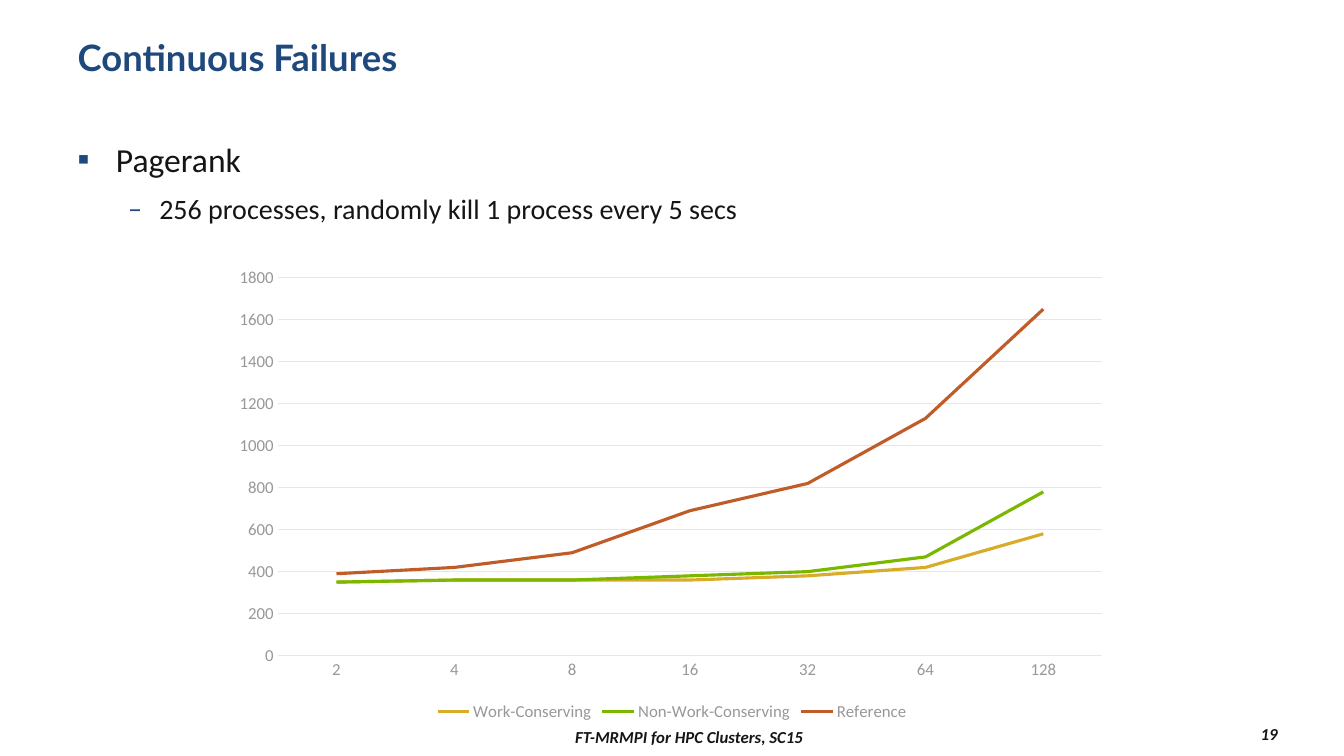
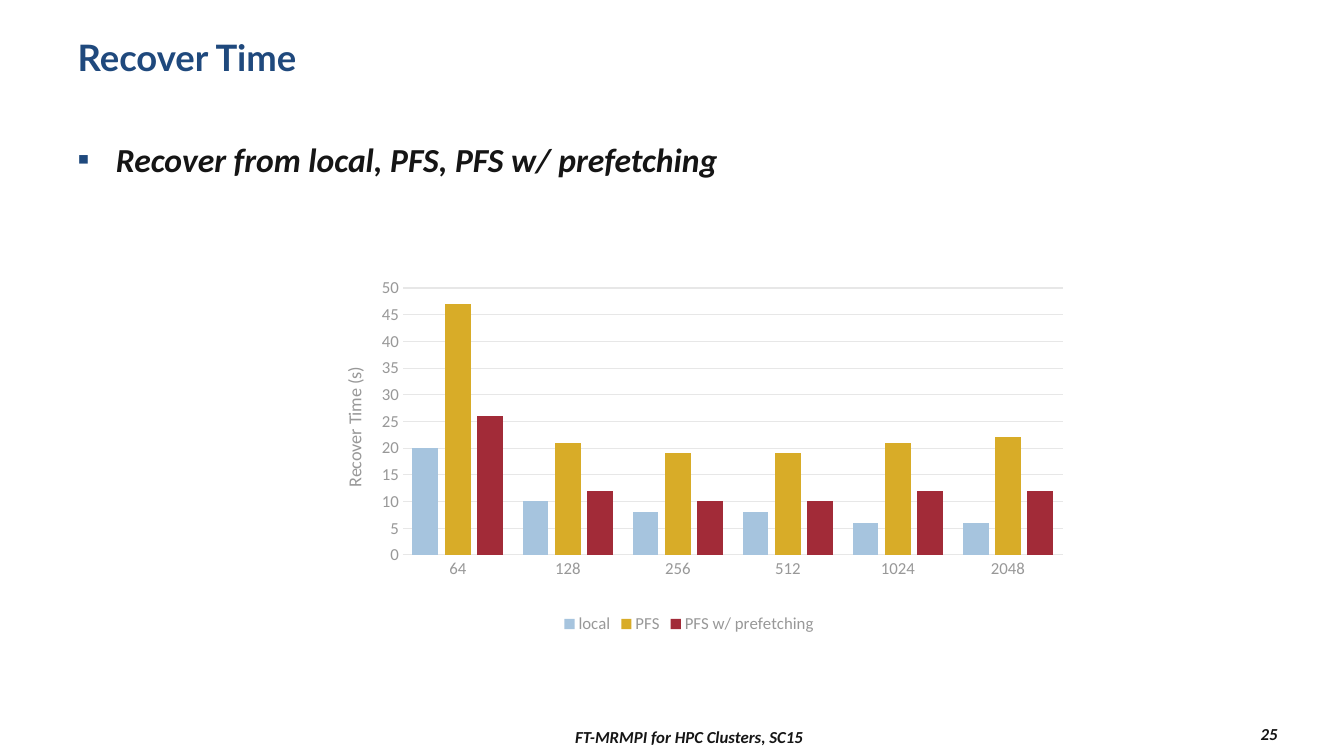
from lxml import etree
from pptx import Presentation
from pptx.chart.data import CategoryChartData
from pptx.dml.color import RGBColor
from pptx.enum.chart import XL_CHART_TYPE, XL_LEGEND_POSITION, XL_MARKER_STYLE, XL_TICK_MARK
from pptx.enum.text import MSO_ANCHOR, MSO_AUTO_SIZE, PP_ALIGN
from pptx.oxml.ns import qn
from pptx.util import Inches, Pt

NAVY = RGBColor(0x1F, 0x49, 0x7D)
INK = RGBColor(0x15, 0x15, 0x15)
GRAY = RGBColor(0x98, 0x98, 0x98)
RULE = RGBColor(0xE7, 0xE7, 0xE7)
GOLD = RGBColor(0xD8, 0xAC, 0x28)
GREEN = RGBColor(0x7A, 0xB8, 0x00)
RUST = RGBColor(0xBF, 0x5C, 0x28)
SKY = RGBColor(0xA6, 0xC4, 0xDE)
WINE = RGBColor(0xA2, 0x2B, 0x38)

TITLE = dict(name="Lato", size=Pt(26), bold=True, color=NAVY)
BODY = dict(name="Calibri", color=INK, bold=False, italic=False)
STRONG = dict(BODY, bold=True, italic=True)
FOOTER = dict(STRONG, size=Pt(12))
LABEL = dict(name="Calibri", size=Pt(12), bold=False, color=GRAY)
# bullet, text size, left margin and hanging indent for each list level
LEVELS = [("▪", 24, 0.38, 0.38), ("–", 20, 0.81, 0.31)]

TITLE_BOX = (0.67, 0.3, 12, 0.87)
BODY_BOX = (0.67, 1.25, 12, 5.67)
FOOTER_BOX = (2.89, 7.17, 7.89, 0.27)
NUMBER_BOX = (11.33, 7.15, 1.44, 0.27)
FOOTER_TEXT = "FT-MRMPI for HPC Clusters, SC15"

SLIDES = [
    dict(
        title="Continuous Failures", number=19, style=BODY,
        items=[(0, "Pagerank"), (1, "256 processes, randomly kill 1 process every 5 secs")],
        chart=dict(
            kind=XL_CHART_TYPE.LINE, box=(2.22, 2.57, 8.89, 4.63),
            plot=(0.06, 0.04, 0.92, 0.81), top=1800, step=200,
            categories=["2", "4", "8", "16", "32", "64", "128"],
            series=[
                ("Work-Conserving", GOLD, (350, 360, 360, 360, 380, 420, 580)),
                ("Non-Work-Conserving", GREEN, (350, 360, 360, 380, 400, 470, 780)),
                ("Reference", RUST, (390, 420, 490, 690, 820, 1130, 1650)),
            ]),
    ),
    dict(
        title="Recover Time", number=25, style=STRONG,
        items=[(0, "Recover from local, PFS, PFS w/ prefetching")],
        chart=dict(
            kind=XL_CHART_TYPE.COLUMN_CLUSTERED, box=(2.89, 2.75, 7.89, 3.58),
            plot=(0.14, 0.03, 0.83, 0.74), top=50, step=5,
            axis_title="Recover Time (s)", axis_title_at=(0.06, 0.24),
            categories=["64", "128", "256", "512", "1024", "2048"],
            series=[
                ("local", SKY, (20, 10, 8, 8, 6, 6)),
                ("PFS", GOLD, (47, 21, 19, 19, 21, 22)),
                ("PFS w/ prefetching", WINE, (26, 12, 10, 10, 12, 12)),
            ]),
    ),
]


def inches(box):
    return [Inches(v) for v in box]


def style_font(font, style):
    for key, value in style.items():
        if key == "color":
            font.color.rgb = value
        else:
            setattr(font, key, value)


def place(sp, box):
    sp.left, sp.top, sp.width, sp.height = inches(box)


def write(p, text, style):
    r = p.add_run()
    r.text = text
    style_font(r.font, style)


def add_bullet(p, char, margin, hang):
    pPr = p._p.get_or_add_pPr()
    pPr.set("marL", str(Inches(margin)))
    pPr.set("indent", str(-Inches(hang)))
    color = etree.SubElement(pPr, qn("a:buClr"))
    etree.SubElement(color, qn("a:srgbClr")).set("val", str(NAVY))
    etree.SubElement(pPr, qn("a:buFont")).set("typeface", "Calibri")
    etree.SubElement(pPr, qn("a:buChar")).set("char", char)


def fill_title(sp, text):
    tf = sp.text_frame
    tf.vertical_anchor = MSO_ANCHOR.TOP
    tf.auto_size = MSO_AUTO_SIZE.NONE
    p = tf.paragraphs[0]
    p.alignment = PP_ALIGN.LEFT
    write(p, text, TITLE)


def fill_list(sp, items, style):
    tf = sp.text_frame
    tf.auto_size = MSO_AUTO_SIZE.NONE
    for i, (level, text) in enumerate(items):
        p = tf.add_paragraph() if i else tf.paragraphs[0]
        char, size, margin, hang = LEVELS[level]
        p.level = level
        p.line_spacing = 1.2
        p.space_before = Pt(0.2 * size if i else 0)
        add_bullet(p, char, margin, hang)
        write(p, text, dict(style, size=Pt(size)))


def add_footer(s, box, text, align):
    tf = s.shapes.add_textbox(*inches(box)).text_frame
    tf.word_wrap = True
    tf.vertical_anchor = MSO_ANCHOR.MIDDLE
    p = tf.paragraphs[0]
    p.alignment = align
    write(p, text, FOOTER)


def set_layout(parent, index, values, inner=False):
    """Give a chart part a fixed place, as shares of the chart's size."""
    for old in parent.findall(qn("c:layout")):
        parent.remove(old)
    layout = etree.Element(qn("c:layout"))
    manual = etree.SubElement(layout, qn("c:manualLayout"))
    settings = [("layoutTarget", "inner")] if inner else []
    settings += [("xMode", "edge"), ("yMode", "edge")]
    settings += zip("xywh", values)
    for tag, value in settings:
        etree.SubElement(manual, qn("c:" + tag)).set("val", str(value))
    parent.insert(index, layout)


def style_axes(chart, data):
    cat, val = chart.category_axis, chart.value_axis
    for axis in (cat, val):
        axis.major_tick_mark = axis.minor_tick_mark = XL_TICK_MARK.NONE
        style_font(axis.tick_labels.font, LABEL)
    val.minimum_scale, val.maximum_scale = 0, data["top"]
    val.major_unit = data["step"]
    val.has_major_gridlines = True
    val.format.line.fill.background()
    for line in (cat.format.line, val.major_gridlines.format.line):
        line.color.rgb = RULE
        line.width = Pt(0.75)
    if "axis_title" in data:
        title = val.axis_title
        write(title.text_frame.paragraphs[0], data["axis_title"], dict(LABEL, size=Pt(13)))
        set_layout(title._element, 1, data["axis_title_at"])


def add_data_chart(s, data):
    chart_data = CategoryChartData()
    chart_data.categories = data["categories"]
    for name, _, values in data["series"]:
        chart_data.add_series(name, values)
    chart = s.shapes.add_chart(data["kind"], *inches(data["box"]), chart_data).chart
    style_font(chart.font, LABEL)
    chart.has_title = False
    chart.has_legend = True
    chart.legend.position = XL_LEGEND_POSITION.BOTTOM
    chart.legend.include_in_layout = False
    style_font(chart.legend.font, LABEL)
    style_axes(chart, data)

    plot = chart.plots[0]
    plot.vary_by_categories = False
    is_line = data["kind"] == XL_CHART_TYPE.LINE
    if not is_line:
        plot.gap_width, plot.overlap = 75, -25
    for series, (_, color, _) in zip(plot.series, data["series"]):
        if is_line:
            series.smooth = False
            series.marker.style = XL_MARKER_STYLE.NONE
            series.format.line.color.rgb = color
            series.format.line.width = Pt(2.25)
        else:
            series.format.fill.solid()
            series.format.fill.fore_color.rgb = color
    plot_area = chart._chartSpace.find(".//" + qn("c:plotArea"))
    set_layout(plot_area, 0, data["plot"], inner=True)


def main():
    prs = Presentation()
    prs.slide_width, prs.slide_height = Inches(13.33), Inches(7.5)
    layout = prs.slide_layouts[1]
    for sp, box in zip(layout.placeholders, (TITLE_BOX, BODY_BOX)):
        place(sp, box)
    for content in SLIDES:
        s = prs.slides.add_slide(layout)
        fill_title(s.shapes.title, content["title"])
        fill_list(s.placeholders[1], content["items"], content["style"])
        add_data_chart(s, content["chart"])
        add_footer(s, FOOTER_BOX, FOOTER_TEXT, PP_ALIGN.CENTER)
        add_footer(s, NUMBER_BOX, str(content["number"]), PP_ALIGN.RIGHT)
    prs.save("out.pptx")


if __name__ == "__main__":
    main()
